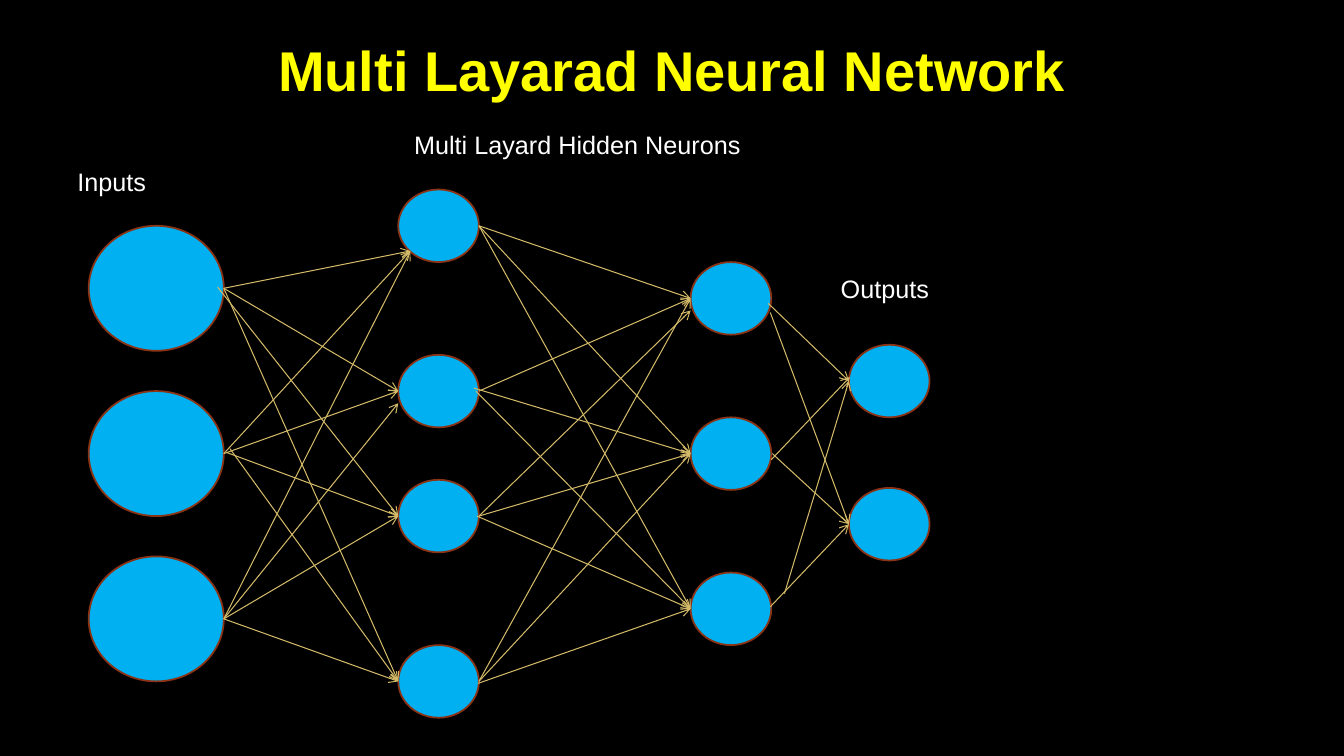
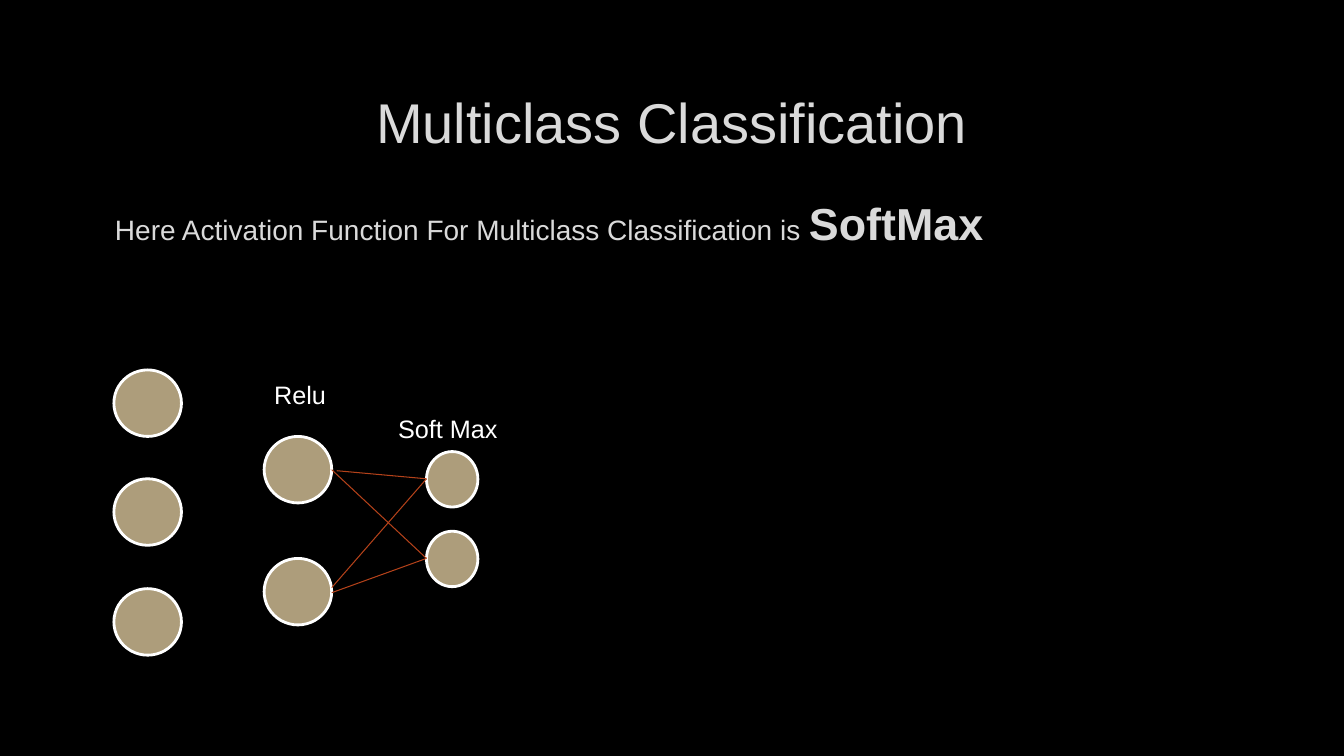
"""Build two slides that show layered neural networks."""
from dataclasses import dataclass
from itertools import product

from lxml import etree
from pptx import Presentation
from pptx.dml.color import RGBColor
from pptx.enum.shapes import MSO_CONNECTOR, MSO_SHAPE
from pptx.enum.text import MSO_ANCHOR, MSO_AUTO_SIZE, PP_ALIGN
from pptx.oxml.ns import qn
from pptx.util import Emu, Pt

EMU_PER_PX = 9144
OVAL = MSO_SHAPE.OVAL
STRAIGHT = MSO_CONNECTOR.STRAIGHT
CENTER = PP_ALIGN.CENTER
TOP, MIDDLE = MSO_ANCHOR.TOP, MSO_ANCHOR.MIDDLE
NO_FIT = MSO_AUTO_SIZE.NONE
TITLE_AND_BODY, TITLE_ONLY = 1, 5


@dataclass(frozen=True)
class Theme:
    """Colours, font and type sizes of the deck."""
    font: str = "Arial"
    background: str = "000000"
    highlight: str = "FFFF00"
    text: str = "DADADA"
    label: str = "FFFFFF"
    title_size: int = 40
    strong_size: int = 32
    body_size: int = 20
    label_size: int = 18
    link_width: float = 0.75


@dataclass(frozen=True)
class NetworkStyle:
    """Colours and outline of one network."""
    fill: str
    outline: str
    outline_width: float
    link: str
    arrows: bool


@dataclass(frozen=True)
class Layer:
    """A column of equal neurons."""
    left: int
    tops: tuple
    width: int
    height: int

    def ports(self, side):
        """Return the middle points of one side: 0 is left, 1 is right."""
        x = self.left + side * self.width
        return [(x, top + self.height // 2) for top in self.tops]


THEME = Theme()
BLUE_NETWORK = NetworkStyle("00B0F0", "8B3314", 1.25, "D3BA68", True)
SAND_NETWORK = NetworkStyle("AD9D7B", "FFFFFF", 2, "B4421A", False)


def px(length):
    """Turn px into EMU."""
    return Emu(length * EMU_PER_PX)


def color(value):
    """Turn a hex string into a colour."""
    return RGBColor.from_string(value)


def add_span(para, text, size, fill, bold=False):
    """Add one formatted run."""
    span = para.add_run()
    span.text = text
    span.font.name = THEME.font
    span.font.size = Pt(size)
    span.font.bold = bold
    span.font.color.rgb = color(fill)


def place(box, left, top, width, height, anchor):
    """Move a placeholder and return its first paragraph."""
    box.left, box.top, box.width, box.height = map(px, (left, top, width, height))
    frame = box.text_frame
    frame.auto_size = NO_FIT
    frame.word_wrap = True
    frame.vertical_anchor = anchor
    return frame.paragraphs[0]


def add_page(deck, layout, title, top, fill, bold=False):
    """Add a slide with a centred title."""
    page = deck.slides.add_slide(deck.slide_layouts[layout])
    para = place(page.shapes.title, 100, top, 1132, 106, MIDDLE)
    para.alignment = CENTER
    add_span(para, title, THEME.title_size, fill, bold)
    return page


def fill_body(page, text, strong):
    """Write the body as a plain paragraph with a strong ending."""
    para = place(page.placeholders[1], 100, 189, 1132, 444, TOP)
    para.space_after = Pt(6)
    properties = para._p.get_or_add_pPr()
    properties.set("marL", str(px(4)))
    properties.set("indent", "0")
    etree.SubElement(properties, qn("a:buNone"))
    add_span(para, text, THEME.body_size, THEME.text)
    add_span(para, strong, THEME.strong_size, THEME.text, True)


def add_label(page, text, left, top, width):
    """Add a one-line label."""
    box = page.shapes.add_textbox(*map(px, (left, top, width, 40)))
    box.text_frame.word_wrap = True
    add_span(box.text_frame.paragraphs[0], text, THEME.label_size, THEME.label)


def add_layer(page, layer, style):
    """Draw the neurons of one layer."""
    for top in layer.tops:
        neuron = page.shapes.add_shape(
            OVAL, *map(px, (layer.left, top, layer.width, layer.height)))
        neuron.shadow.inherit = False
        neuron.fill.solid()
        neuron.fill.fore_color.rgb = color(style.fill)
        neuron.line.color.rgb = color(style.outline)
        neuron.line.width = Pt(style.outline_width)


def add_link(page, points, style):
    """Draw one line between two neurons."""
    link = page.shapes.add_connector(STRAIGHT, *map(px, points))
    link.line.color.rgb = color(style.link)
    link.line.width = Pt(THEME.link_width)
    properties = link.element.spPr
    if style.arrows:
        etree.SubElement(properties.find(qn("a:ln")), qn("a:tailEnd"), type="arrow")
    etree.SubElement(properties, qn("a:effectLst"))


def link_layers(page, source, target, style, nudges):
    """Link every neuron of two layers, shifting the ends listed in nudges."""
    starts, ends = source.ports(1), target.ports(0)
    for pair in product(range(len(starts)), range(len(ends))):
        points = starts[pair[0]] + ends[pair[1]]
        shift = nudges.get(pair, (0, 0, 0, 0))
        add_link(page, [a + b for a, b in zip(points, shift)], style)


def add_multilayer_page(deck):
    """Show a network with two hidden layers."""
    page = add_page(deck, TITLE_ONLY, "Multi Layarad Neural Network", 16,
                    THEME.highlight, True)
    inputs = Layer(88, tuple(range(224, 553, 164)), 134, 124)
    first_hidden = Layer(395, (188, 352, 476, 640), 80, 72)
    second_hidden = Layer(685, tuple(range(260, 569, 154)), 80, 72)
    outputs = Layer(842, (342, 484), 80, 72)
    layers = (inputs, first_hidden, second_hidden, outputs)
    nudges = (
        {(0, 0): (0, 0, 12, 25), (1, 0): (0, 0, 12, 25), (2, 0): (0, 0, 12, 25),
         (2, 1): (0, 0, 0, 12), (1, 3): (6, -5, 0, 0), (0, 2): (-6, -1, 0, 0),
         (1, 2): (3, -1, 0, 0)},
        {(1, 1): (-5, -3, 0, 0), (2, 2): (-2, 0, 0, 0), (3, 2): (-1, 2, 0, 0),
         (1, 2): (-3, 0, 0, 0), (2, 0): (0, 0, 0, 12)},
        {(0, 0): (-3, 5, 0, 0), (0, 1): (-1, 14, 0, 0), (1, 0): (0, 6, 1, -4),
         (1, 1): (1, 0, 0, 0), (2, 0): (13, -15, 0, 0), (2, 1): (-1, -2, 0, 0)},
    )
    for layer in layers:
        add_layer(page, layer, BLUE_NETWORK)
    for source, target, shifts in zip(layers, layers[1:], nudges):
        link_layers(page, source, target, BLUE_NETWORK, shifts)
    for text, left, top in (("Inputs", 67, 160), ("Outputs", 824, 266),
                            ("Multi Layard Hidden Neurons", 401, 123)):
        add_label(page, text, left, top, 356)


def add_multiclass_page(deck):
    """Show a classifier that ends in a softmax layer."""
    page = add_page(deck, TITLE_AND_BODY, "Multiclass Classification", 67, THEME.text)
    fill_body(page, "Here Activation Function For Multiclass Classification is ",
              "SoftMax")
    inputs = Layer(113, (367, 475, 584), 67, 66)
    relu = Layer(262, (433, 554), 67, 66)
    softmax = Layer(423, (448, 527), 51, 55)
    for layer in (inputs, relu, softmax):
        add_layer(page, layer, SAND_NETWORK)
    link_layers(page, relu, softmax, SAND_NETWORK,
                {(0, 0): (5, 1, 0, 0), (1, 0): (0, -4, 0, 0), (1, 1): (0, 1, 0, 0)})
    add_label(page, "Relu", 262, 371, 109)
    add_label(page, "Soft Max", 385, 405, 214)


def main():
    """Build and save the deck."""
    deck = Presentation()
    deck.slide_width, deck.slide_height = px(1333), px(750)
    backdrop = deck.slide_master.background.fill
    backdrop.solid()
    backdrop.fore_color.rgb = color(THEME.background)
    add_multilayer_page(deck)
    add_multiclass_page(deck)
    deck.save("out.pptx")


if __name__ == "__main__":
    main()
